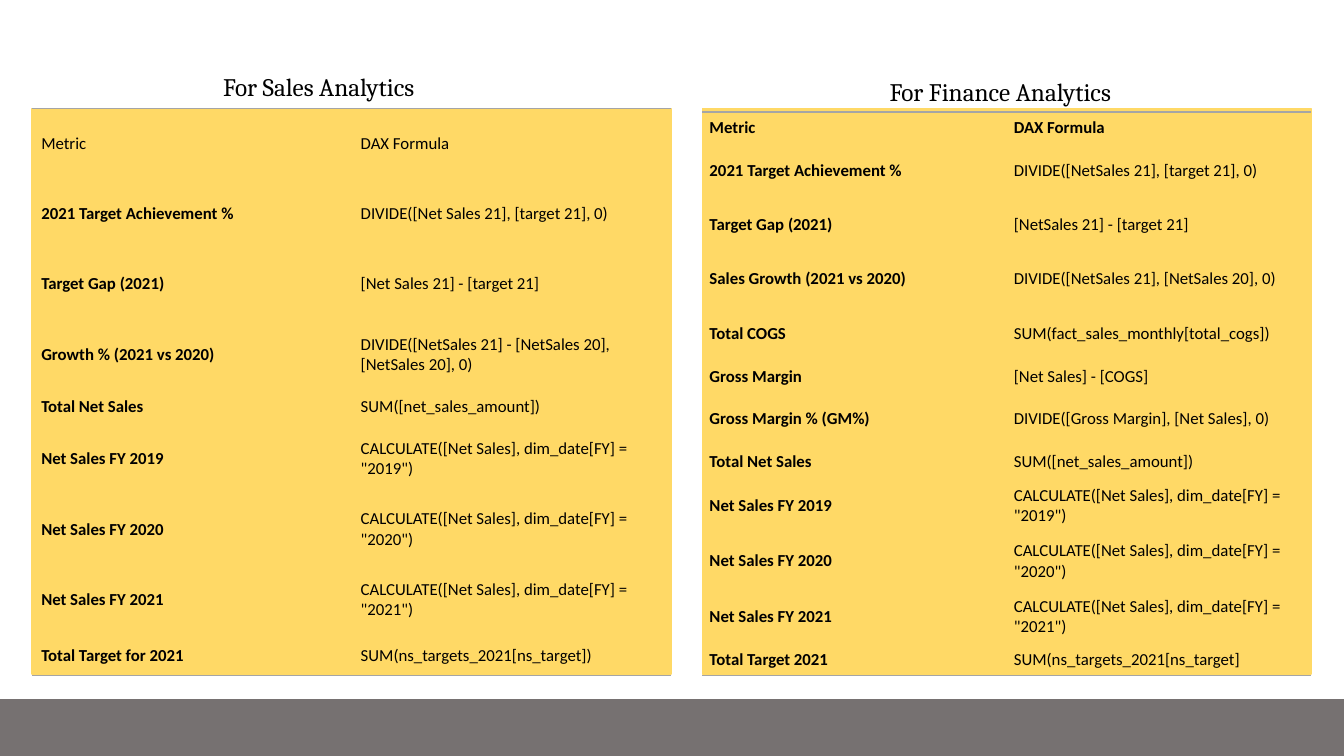
from lxml import etree
from pptx import Presentation
from pptx.dml.color import RGBColor
from pptx.enum import shapes, text
from pptx.oxml import ns
from pptx.util import Cm, Pt

COLORS = {"panel": "FFD966", "footer": "767171", "rule": "A5A5A5", "ink": "000000"}
NO_STYLE_NO_GRID = "{2D5ABB26-0587-4C30-8999-92F81FD0307C}"

net_sales_by_year = [
    (f"Net Sales FY {year}", f'CALCULATE([Net Sales], dim_date[FY] = "{year}")')
    for year in (2019, 2020, 2021)
]

# Boxes are left, top, width, height in centimetres
sections = [
    {
        "heading": "For Sales Analytics",
        "heading_box": (2.13, 1.68, 11.81, 1.02),
        "panel_box": (0.81, 2.74, 16.1, 14.25),
        "table_top": 2.74,
        "margins": (0.23, 0.11),
        "header_bold": False,
        "row_heights": [1.75, 1.78, 1.78, 1.78, 0.84, 1.78, 1.78, 1.78, 1.02],
        "metrics": [
            ("Metric", "DAX Formula"),
            ("2021 Target Achievement %", "DIVIDE([Net Sales 21], [target 21], 0)"),
            ("Target Gap (2021)", "[Net Sales 21] - [target 21]"),
            ("Growth % (2021 vs 2020)",
             "DIVIDE([NetSales 21] - [NetSales 20], [NetSales 20], 0)"),
            ("Total Net Sales", "SUM([net_sales_amount])"),
            *net_sales_by_year,
            ("Total Target for 2021", "SUM(ns_targets_2021[ns_target])"),
        ],
    },
    {
        "heading": "For Finance Analytics",
        "heading_box": (19.94, 1.79, 10.54, 1.02),
        "panel_box": (17.7, 2.74, 15.34, 14.25),
        "table_top": 2.82,
        "margins": (0.18, 0.09),
        "header_bold": True,
        "row_heights": [0.79, 1.37, 1.37, 1.37, 1.37, 0.79, 1.37, 0.79,
                        1.4, 1.4, 1.4, 0.79],
        "metrics": [
            ("Metric", "DAX Formula"),
            ("2021 Target Achievement %", "DIVIDE([NetSales 21], [target 21], 0)"),
            ("Target Gap (2021)", "[NetSales 21] - [target 21]"),
            ("Sales Growth (2021 vs 2020)", "DIVIDE([NetSales 21], [NetSales 20], 0)"),
            ("Total COGS", "SUM(fact_sales_monthly[total_cogs])"),
            ("Gross Margin", "[Net Sales] - [COGS]"),
            ("Gross Margin % (GM%)", "DIVIDE([Gross Margin], [Net Sales], 0)"),
            ("Total Net Sales", "SUM([net_sales_amount])"),
            *net_sales_by_year,
            ("Total Target 2021", "SUM(ns_targets_2021[ns_target]"),
        ],
    },
]


def add_block(box, color):
    block = slide.shapes.add_shape(shapes.MSO_SHAPE.RECTANGLE, *map(Cm, box))
    block.shadow.inherit = False
    block.fill.solid()
    block.fill.fore_color.rgb = RGBColor.from_string(COLORS[color])
    block.line.color.rgb = RGBColor.from_string(COLORS[color])
    block.line.width = Pt(1)


def write(paragraph, words, size, font, bold):
    run = paragraph.add_run()
    run.text = words
    for name, value in {"size": Pt(size), "name": font, "bold": bold}.items():
        setattr(run.font, name, value)
    run.font.color.rgb = RGBColor.from_string(COLORS["ink"])


prs = Presentation()
prs.slide_width, prs.slide_height = Cm(33.87), Cm(19.05)
slide = prs.slides.add_slide(prs.slide_layouts.get_by_name("Comparison"))

# The layout's two text placeholders hold the headings; the rest go
headings = [slide.placeholders[1], slide.placeholders[3]]
for index in (0, 2, 4):
    spare = slide.placeholders[index].element
    spare.getparent().remove(spare)

add_block((0, 17.63, 33.87, 1.42), "footer")

for section, heading in zip(sections, headings):
    left, top, width, height = map(Cm, section["heading_box"])
    place = {"left": left, "top": top, "width": width, "height": height}
    for name, value in place.items():
        setattr(heading, name, value)
    frame_format = {
        "word_wrap": True,
        "vertical_anchor": text.MSO_ANCHOR.TOP,
        "auto_size": text.MSO_AUTO_SIZE.SHAPE_TO_FIT_TEXT,
    }
    for name, value in frame_format.items():
        setattr(heading.text_frame, name, value)
    title = heading.text_frame.paragraphs[0]
    title.alignment = text.PP_ALIGN.CENTER
    title.space_before = Pt(0)
    write(title, section["heading"], 18, "Cambria", False)

    add_block(section["panel_box"], "panel")

    metrics, row_heights = section["metrics"], section["row_heights"]
    panel_left, _, panel_width, _ = section["panel_box"]
    metric_table = slide.shapes.add_table(
        len(metrics), 2, Cm(panel_left), Cm(section["table_top"]),
        Cm(panel_width), Cm(sum(row_heights))).table
    metric_table.first_row = metric_table.horz_banding = False
    metric_table._tbl.tblPr.find(ns.qn("a:tableStyleId")).text = NO_STYLE_NO_GRID

    side, edge = map(Cm, section["margins"])
    cell_format = {
        "margin_left": side, "margin_right": side,
        "margin_top": edge, "margin_bottom": edge,
        "vertical_anchor": text.MSO_ANCHOR.MIDDLE,
    }
    outer_rules = {0: "a:lnT", len(metrics) - 1: "a:lnB"}
    for r, metric in enumerate(metrics):
        metric_table.rows[r].height = Cm(row_heights[r])
        for c, words in enumerate(metric):
            cell = metric_table.cell(r, c)
            for name, value in cell_format.items():
                setattr(cell, name, value)
            cell.fill.background()
            bold = section["header_bold"] if r == 0 else c == 0
            write(cell.text_frame.paragraphs[0], words, 12, "Calibri", bold)
            if r in outer_rules:
                rule = etree.Element(ns.qn(outer_rules[r]), w=str(Pt(1)))
                fill = etree.SubElement(rule, ns.qn("a:solidFill"))
                etree.SubElement(fill, ns.qn("a:srgbClr"), val=COLORS["rule"])
                cell._tc.get_or_add_tcPr().insert(0, rule)

prs.save("out.pptx")
